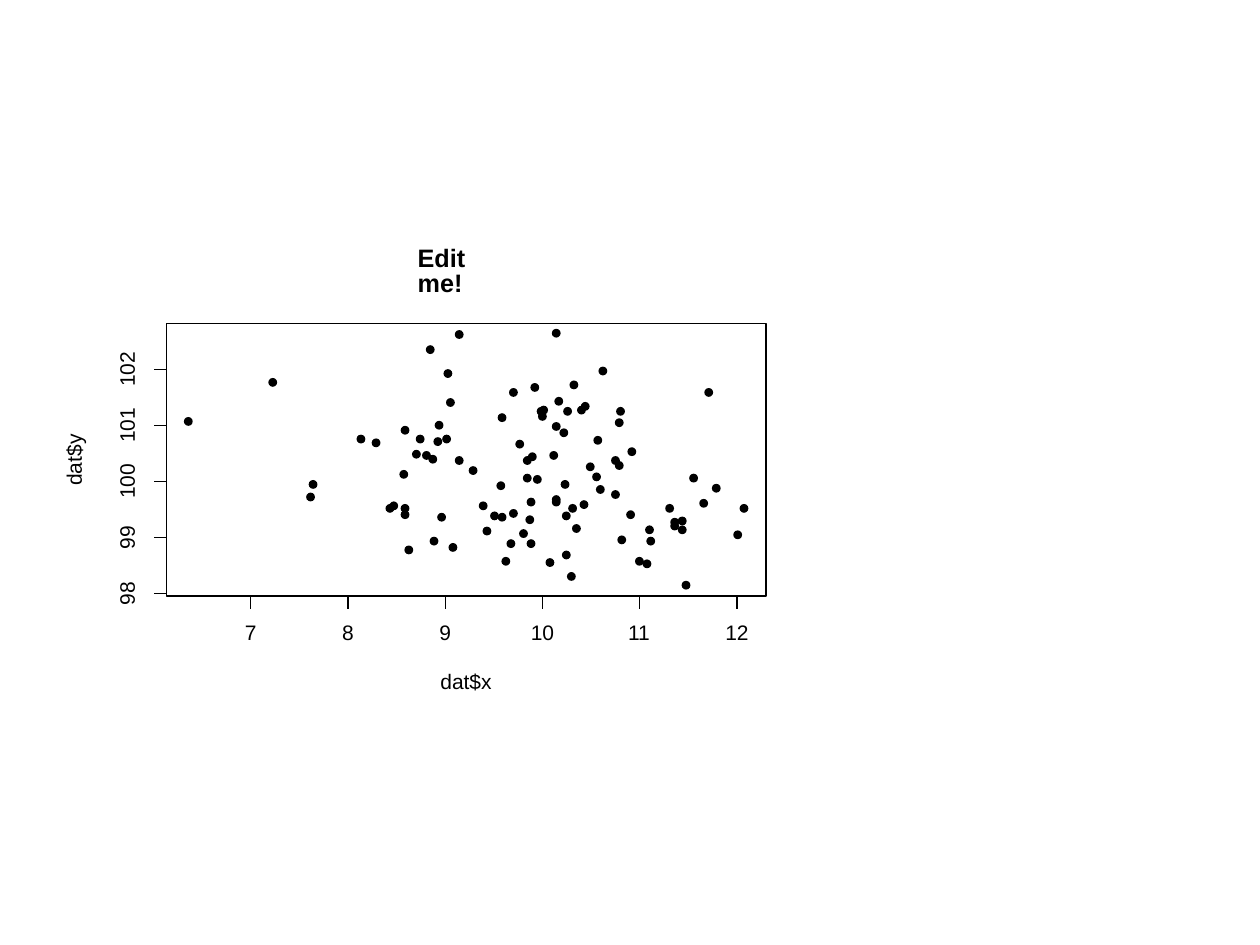
from lxml import etree
from pptx import Presentation
from pptx import util as u
from pptx.dml.color import RGBColor
from pptx.enum import shapes, text
from pptx.oxml import ns

COLORS = {"ink": "000000", "paper": "FFFFFF"}
FONT = "Arial"
LINE_WIDTH = 0.75
DOT_SIZE = 0.07
TICK_LENGTH = 0.1
DIGIT_WIDTH = 0.093
LABEL_HEIGHT = 0.12

PANEL = (0.5, 1.75, 6, 4)
FRAME = (1.32, 2.57, 4.76, 2.16)
X_TICKS = {"labels": range(7, 13), "start": 1.99, "end": 5.85, "label_center": 5.03}
Y_TICKS = {"labels": range(98, 103), "start": 4.71, "end": 2.93, "label_center": 1.02}

DOTS = [
    (4.02, 4.28), (5.65, 3.84), (3.8, 3.98), (4.97, 4.05), (4.73, 3.85),
    (3.95, 4.07), (5.47, 3.76), (5.28, 4), (4.52, 3.02), (3.94, 3.82),
    (5.38, 4.17), (4.71, 3.46), (3.18, 4.05), (5.1, 4.44), (4.12, 4.2),
    (4.65, 3.67), (4.18, 4.28), (5.87, 4), (3.45, 3.34), (4.04, 4.04),
    (4.75, 2.91), (4.51, 4), (3.61, 2.62), (4.88, 3.32), (3.06, 4),
    (3.18, 3.38), (3.35, 3.58), (4.5, 4.54), (5.38, 4.1), (3.95, 3.28),
    (3.09, 3.98), (4.23, 3.77), (2.45, 3.81), (4.38, 3.93), (4.85, 3.62),
    (3.27, 3.57), (3.44, 3.47), (4.45, 3.81), (4.18, 3.95), (3.21, 4.33),
    (4.38, 3.35), (4.7, 3.75), (4.6, 3.97), (4.54, 4.16), (4.89, 3.23),
    (5.82, 4.21), (2.43, 3.91), (4.88, 3.66), (3.47, 4.07), (4.09, 3.49),
    (4.46, 4.37), (4.85, 3.89), (5.32, 4.11), (4.36, 3.58), (3.41, 4.26),
    (2.95, 3.48), (4.4, 3.15), (4.15, 3.62), (4.21, 3.04), (5.55, 3.96),
    (4.58, 3.22), (3.72, 3.7), (5.13, 4.26), (5.59, 3.08), (4.38, 2.61),
    (2.83, 3.45), (4.61, 3.19), (4.98, 3.55), (4.33, 4.43), (3.17, 3.73),
    (4.17, 4.09), (4.19, 3.59), (4.47, 3.23), (4.38, 3.95), (3.54, 3.16),
    (4.04, 3.08), (3.56, 4.31), (1.46, 3.31), (3.89, 4.06), (4.28, 3.22),
    (4.27, 3.27), (4.26, 3.23), (4.46, 4.06), (2.13, 3), (3.38, 2.74),
    (3.51, 3.45), (4.44, 3.4), (5.32, 4.14), (3.4, 3.61), (3.61, 3.62),
    (3.3, 3.45), (4.9, 4.25), (4.15, 3.76), (3.83, 4.18), (5.41, 4.61),
    (3.18, 4), (5.04, 4.42), (3.52, 2.93), (3.98, 4.42), (5.12, 4.17),
]


def inches(*lengths):
    return [u.Inches(length) for length in lengths]


def color(name):
    return RGBColor.from_string(COLORS[name])


def set_attributes(target, values):
    for name, value in values.items():
        setattr(target, name, value)


def style_line(line, name):
    line.color.rgb = color(name)
    line.width = u.Pt(LINE_WIDTH)


def add_preset(plot, kind, bounds, fill=None, line=None):
    shape = plot.shapes.add_shape(kind, *inches(*bounds))
    shape.shadow.inherit = False
    if fill:
        shape.fill.solid()
        shape.fill.fore_color.rgb = color(fill)
    else:
        shape.fill.background()
    if line:
        style_line(shape.line, line)
    else:
        shape.line.fill.background()


def add_line(plot, *ends):
    connector = plot.shapes.add_connector(shapes.MSO_CONNECTOR.STRAIGHT, *inches(*ends))
    style_line(connector.line, "ink")
    etree.SubElement(connector._element.spPr, ns.qn("a:effectLst"))


def add_label(plot, words, center, size, points=12, bold=None, rotation=0):
    (x, y), (width, height) = center, size
    box = plot.shapes.add_textbox(*inches(x - width / 2, y - height / 2, width, height))
    box.rotation = rotation
    set_attributes(box.text_frame, {
        "margin_left": 0, "margin_top": 0, "margin_right": 0, "margin_bottom": 0,
        "word_wrap": False, "vertical_anchor": text.MSO_ANCHOR.MIDDLE,
    })
    paragraph = box.text_frame.paragraphs[0]
    paragraph.line_spacing = u.Pt(points)
    run = paragraph.add_run()
    run.text = words
    set_attributes(run.font, {"name": FONT, "size": u.Pt(points), "bold": bold})
    run.font.color.rgb = color("ink")


def tick_marks(axis):
    step = (axis["end"] - axis["start"]) / (len(axis["labels"]) - 1)
    return [(str(label), axis["start"] + index * step)
            for index, label in enumerate(axis["labels"])]


def add_x_axis(plot):
    base = FRAME[1] + FRAME[3]
    add_line(plot, X_TICKS["start"], base, X_TICKS["end"], base)
    for label, x in tick_marks(X_TICKS):
        add_line(plot, x, base, x, base + TICK_LENGTH)
        add_label(plot, label, (x, X_TICKS["label_center"]),
                  (DIGIT_WIDTH * len(label), LABEL_HEIGHT))


def add_y_axis(plot):
    base = FRAME[0]
    add_line(plot, base, Y_TICKS["start"], base, Y_TICKS["end"])
    for label, y in tick_marks(Y_TICKS):
        add_line(plot, base, y, base - TICK_LENGTH, y)
        add_label(plot, label, (Y_TICKS["label_center"], y),
                  (DIGIT_WIDTH * len(label), LABEL_HEIGHT), rotation=270)


def main():
    presentation = Presentation()
    set_attributes(presentation, {"slide_width": u.Inches(10), "slide_height": u.Inches(7.5)})
    slide = presentation.slides.add_slide(presentation.slide_layouts[6])
    plot = slide.shapes.add_group_shape()

    add_preset(plot, shapes.MSO_SHAPE.RECTANGLE, PANEL, fill="paper", line="paper")
    for left, top in DOTS:
        add_preset(plot, shapes.MSO_SHAPE.OVAL, (left, top, DOT_SIZE, DOT_SIZE), fill="ink")
    add_x_axis(plot)
    add_y_axis(plot)
    add_preset(plot, shapes.MSO_SHAPE.RECTANGLE, FRAME, line="ink")
    add_label(plot, "Edit me!", (3.7, 2.16), (0.77, 0.14), points=14.4, bold=True)
    add_label(plot, "dat$x", (3.7, 5.42), (0.41, 0.15))
    add_label(plot, "dat$y", (0.6, 3.65), (0.41, 0.17), rotation=270)

    presentation.save("out.pptx")


if __name__ == "__main__":
    main()
